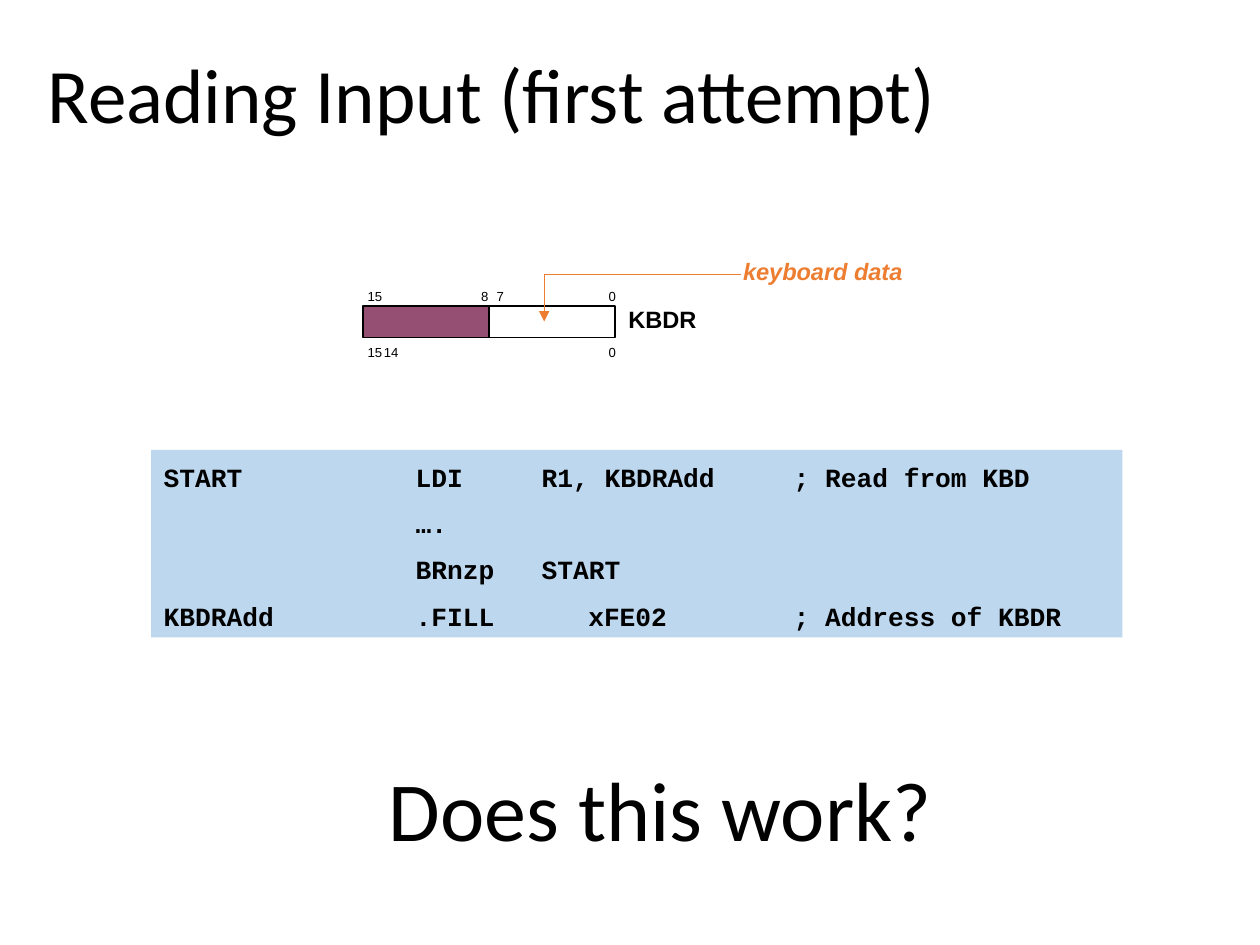
from pptx import Presentation
from pptx.dml.color import RGBColor
from pptx.enum.shapes import MSO_CONNECTOR, MSO_SHAPE
from pptx.enum.text import MSO_ANCHOR, MSO_AUTO_SIZE, PP_ALIGN
from pptx.oxml.xmlchemy import OxmlElement
from pptx.util import Cm, Pt

# Theme: colours and type styles
COLOUR = {name: RGBColor.from_string(value) for name, value in {
    "ink": "000000", "paper": "FFFFFF", "code": "BDD7EE",
    "unused": "954F72", "accent": "ED7D31"}.items()}
STYLE = {
    "title": dict(name="Calibri", size=Pt(44), colour="ink"),
    "question": dict(name="Calibri", size=Pt(48), colour="ink"),
    "code": dict(name="Courier New", size=Pt(15), bold=True, colour="ink"),
    "bit": dict(name="Arial", size=Pt(7.5), colour="ink"),
    "register": dict(name="Arial", size=Pt(13.5), bold=True, colour="ink"),
    "source": dict(name="Arial", size=Pt(13.5), bold=True, italic=True,
                   colour="accent"),
}
LINE_WIDTH = Pt(0.75)

# Content, with lengths in centimetres
TITLE = "Reading Input (first attempt)"
CODE_TABS = (5.08, 7.62, 12.7)
FILL_TABS = (5.08, 8.56, 12.7)
CODE = [
    ("START\tLDI\tR1, KBDRAdd\t; Read from KBD", CODE_TABS),
    ("\t….", CODE_TABS),
    ("\tBRnzp\tSTART", CODE_TABS),
    ("KBDRAdd\t.FILL\txFE02\t; Address of KBDR", FILL_TABS),
]
REGISTER_LEFT, REGISTER_TOP = 7.32, 6.17
BYTE_WIDTH, BYTE_HEIGHT = 2.54, 0.64
BYTES = ["unused", "paper"]
BIT_ROWS = [  # top of the row, then (bit number, left offset, width)
    (5.69, [("15", -0.16, 0.81), ("8", 2.13, 0.66),
            ("7", 2.44, 0.66), ("0", 4.7, 0.66)]),
    (6.81, [("15", -0.16, 0.81), ("14", 0.17, 0.81), ("0", 4.7, 0.66)]),
]
LABELS = [
    ("KBDR", "register", (12.42, 6.02, 1.9, 0.84)),
    ("keyboard data", "source", (14.73, 5.05, 3.78, 0.84)),
    ("Does this work?", "question", (7.59, 15.14, 11.58, 2.31)),
]
ARROW = [(14.94, 5.54), (10.97, 5.54), (10.97, 6.48)]


def format_font(font, style):
    for key, value in STYLE[style].items():
        if key == "colour":
            font.color.rgb = COLOUR[value]
        else:
            setattr(font, key, value)


def add_label(slide, text, style, place):
    box = slide.shapes.add_textbox(*map(Cm, place))
    box.text_frame.word_wrap = False
    box.text_frame.auto_size = MSO_AUTO_SIZE.SHAPE_TO_FIT_TEXT
    para = box.text_frame.paragraphs[0]
    para.text = text
    format_font(para.runs[0].font, style)


def add_rectangle(slide, fill, place):
    box = slide.shapes.add_shape(MSO_SHAPE.RECTANGLE, *map(Cm, place))
    box.shadow.inherit = False
    box.fill.solid()
    box.fill.fore_color.rgb = COLOUR[fill]
    box.line.fill.background()
    return box


def add_tabs(para, stops):
    tab_list = OxmlElement("a:tabLst")
    for stop in stops:
        tab = OxmlElement("a:tab")
        tab.set("pos", str(Cm(stop)))
        tab.set("algn", "l")
        tab_list.append(tab)
    para._p.get_or_add_pPr().append(tab_list)


def add_title(slide):
    title = slide.shapes.title
    place = dict(left=0.71, top=0.61, width=21.89, height=2.77)
    for key, value in place.items():
        setattr(title, key, Cm(value))
    title.text_frame.vertical_anchor = MSO_ANCHOR.MIDDLE
    para = title.text_frame.paragraphs[0]
    para.text = TITLE
    para.alignment = PP_ALIGN.LEFT
    para.line_spacing = 0.9
    format_font(para.runs[0].font, "title")


def add_code(slide):
    frame = add_rectangle(slide, "code", (3.05, 9.07, 19.58, 3.78)).text_frame
    frame.vertical_anchor = MSO_ANCHOR.TOP
    frame.margin_top = Cm(0.23)
    for index, (text, stops) in enumerate(CODE):
        para = frame.add_paragraph() if index else frame.paragraphs[0]
        add_tabs(para, stops)
        para.alignment = PP_ALIGN.LEFT
        if index:
            para.space_before = Pt(8.4)
        span = para.add_run()
        span.text = text
        format_font(span.font, "code")


def add_register(slide):
    for index, fill in enumerate(BYTES):
        box = add_rectangle(slide, fill, (REGISTER_LEFT + index * BYTE_WIDTH,
                                          REGISTER_TOP, BYTE_WIDTH, BYTE_HEIGHT))
        box.line.color.rgb = COLOUR["ink"]
        box.line.width = LINE_WIDTH
    for top, bits in BIT_ROWS:
        for number, offset, width in bits:
            add_label(slide, number, "bit",
                      (REGISTER_LEFT + offset, top, width, 0.58))


def add_arrow(slide):
    for start, end in zip(ARROW, ARROW[1:]):
        line = slide.shapes.add_connector(
            MSO_CONNECTOR.STRAIGHT, *map(Cm, start + end))
        line.line.color.rgb = COLOUR["accent"]
        line.line.width = LINE_WIDTH
        if end == ARROW[-1]:
            head = OxmlElement("a:tailEnd")
            head.set("type", "triangle")
            line.line._get_or_add_ln().append(head)
        line._element.spPr.append(OxmlElement("a:effectLst"))


def main():
    deck = Presentation()
    deck.slide_width, deck.slide_height = Cm(25.4), Cm(19.05)
    slide = deck.slides.add_slide(deck.slide_layouts[5])
    add_title(slide)
    add_code(slide)
    add_register(slide)
    for label in LABELS:
        add_label(slide, *label)
    add_arrow(slide)
    deck.save("out.pptx")


if __name__ == "__main__":
    main()
